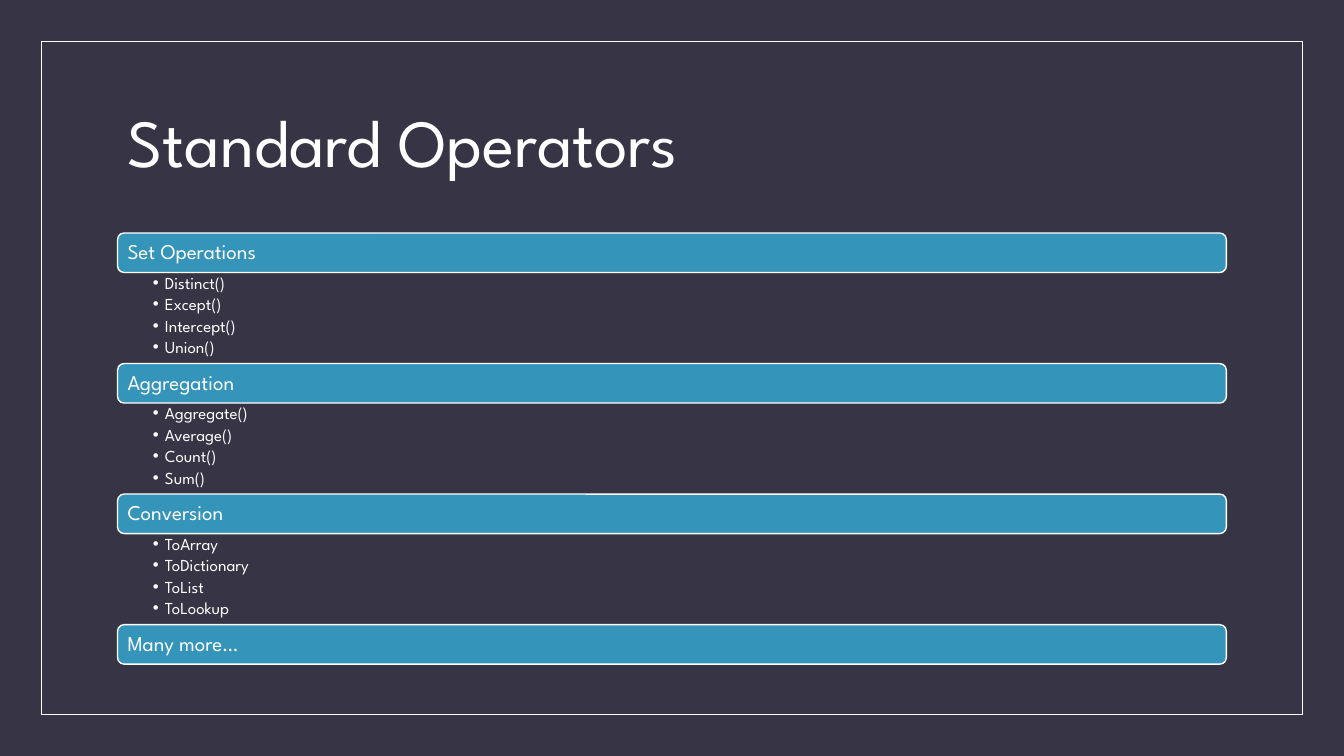
from lxml import etree
from pptx import Presentation
from pptx import util as u
from pptx.dml.color import RGBColor
from pptx.enum import shapes, text
from pptx.oxml import ns

SLATE = RGBColor(0x37, 0x35, 0x45)
BLUE = RGBColor(0x34, 0x94, 0xBA)
WHITE = RGBColor(0xFF, 0xFF, 0xFF)
FONT = "League Spartan"

# Grid of square cells, six to the inch
COLUMNS, ROWS = 80, 45
CELL = u.Inches(1) // 6
LEFT, WIDTH = 7, 66
FIRST_BAR, PITCH = 13.87, 7.77
BAR_HEIGHT, LIST_HEIGHT = 2.35, 5.4

SECTIONS = [
    ("Set Operations", ["Distinct()", "Except()", "Intercept()", "Union()"]),
    ("Aggregation", ["Aggregate()", "Average()", "Count()", "Sum()"]),
    ("Conversion", ["ToArray", "ToDictionary", "ToList", "ToLookup"]),
    ("Many more…", []),
]


def cells(*counts):
    return [round(count * CELL) for count in counts]


def write(para, words, size, after=0, level=0):
    """Fill one paragraph with a formatted span."""
    para.level = level
    para.alignment = text.PP_ALIGN.LEFT
    para.line_spacing = 0.9
    para.space_before = u.Pt(0)
    para.space_after = u.Pt(after)
    span = para.add_run()
    span.text = words
    span.font.name = FONT
    span.font.size = u.Pt(size)
    span.font.bold = False
    span.font.color.rgb = WHITE


def add_bullet(para, indent=u.Inches(0.12)):
    properties = para._p.get_or_add_pPr()
    properties.set("marL", str(indent))
    properties.set("indent", str(-indent))
    etree.SubElement(properties, ns.qn("a:buChar"), char="•")


class OperatorSlide:
    def __init__(self, deck):
        # The comparison layout offers a title and several list bodies
        self.page = deck.slides.add_slide(deck.slide_layouts.get_by_name("Comparison"))
        self.page.background.fill.solid()
        self.page.background.fill.fore_color.rgb = SLATE
        self.bodies = [box for box in self.page.placeholders
                       if box.placeholder_format.idx in (1, 2, 3, 4)]

    def place(self, box, *area):
        box.left, box.top, box.width, box.height = cells(*area)

    def frame_text(self, box, anchor, insets):
        frame = box.text_frame
        frame.word_wrap = True
        frame.auto_size = text.MSO_AUTO_SIZE.NONE
        frame.vertical_anchor = anchor
        (frame.margin_left, frame.margin_top,
         frame.margin_right, frame.margin_bottom) = map(u.Inches, insets)
        return frame

    def shape(self, kind, area, weight, fill=None):
        box = self.page.shapes.add_shape(kind, *cells(*area))
        box.shadow.inherit = False
        if fill is None:
            box.fill.background()
        else:
            box.fill.solid()
            box.fill.fore_color.rgb = fill
        box.line.color.rgb = WHITE
        box.line.width = u.Pt(weight)
        return box

    def border(self, inset):
        area = (inset, inset, COLUMNS - 2 * inset, ROWS - 2 * inset)
        self.shape(shapes.MSO_SHAPE.RECTANGLE, area, 0.5)

    def title(self, words):
        box = self.page.shapes.title
        self.place(box, LEFT, 4.2, WIDTH, 9)
        frame = self.frame_text(box, text.MSO_ANCHOR.MIDDLE, (0.1, 0.05, 0.1, 0.05))
        write(frame.paragraphs[0], words, 48)

    def bar(self, top, words):
        box = self.shape(shapes.MSO_SHAPE.ROUNDED_RECTANGLE,
                         (LEFT, top, WIDTH, BAR_HEIGHT), 1, BLUE)
        frame = self.frame_text(box, text.MSO_ANCHOR.MIDDLE, (0.08, 0.06, 0.08, 0.06))
        write(frame.paragraphs[0], words, 15)

    def bullets(self, top, items):
        box = self.bodies.pop(0)
        self.place(box, LEFT, top, WIDTH, LIST_HEIGHT)
        frame = self.frame_text(box, text.MSO_ANCHOR.TOP, (0.35, 0.02, 0.12, 0.02))
        for index, item in enumerate(items):
            para = frame.add_paragraph() if index else frame.paragraphs[0]
            write(para, item, 12, after=2.4, level=1)
            add_bullet(para)

    def remove_unused(self):
        for box in self.bodies:
            box.element.getparent().remove(box.element)


def main():
    deck = Presentation()
    deck.slide_width, deck.slide_height = cells(COLUMNS, ROWS)
    slide = OperatorSlide(deck)

    # Border and title
    slide.border(2.46)
    slide.title("Standard Operators")

    # Heading bars, each followed by its operators
    for index, (heading, operators) in enumerate(SECTIONS):
        top = FIRST_BAR + index * PITCH
        slide.bar(top, heading)
        if operators:
            slide.bullets(top + BAR_HEIGHT, operators)

    slide.remove_unused()
    deck.save("out.pptx")


if __name__ == "__main__":
    main()
